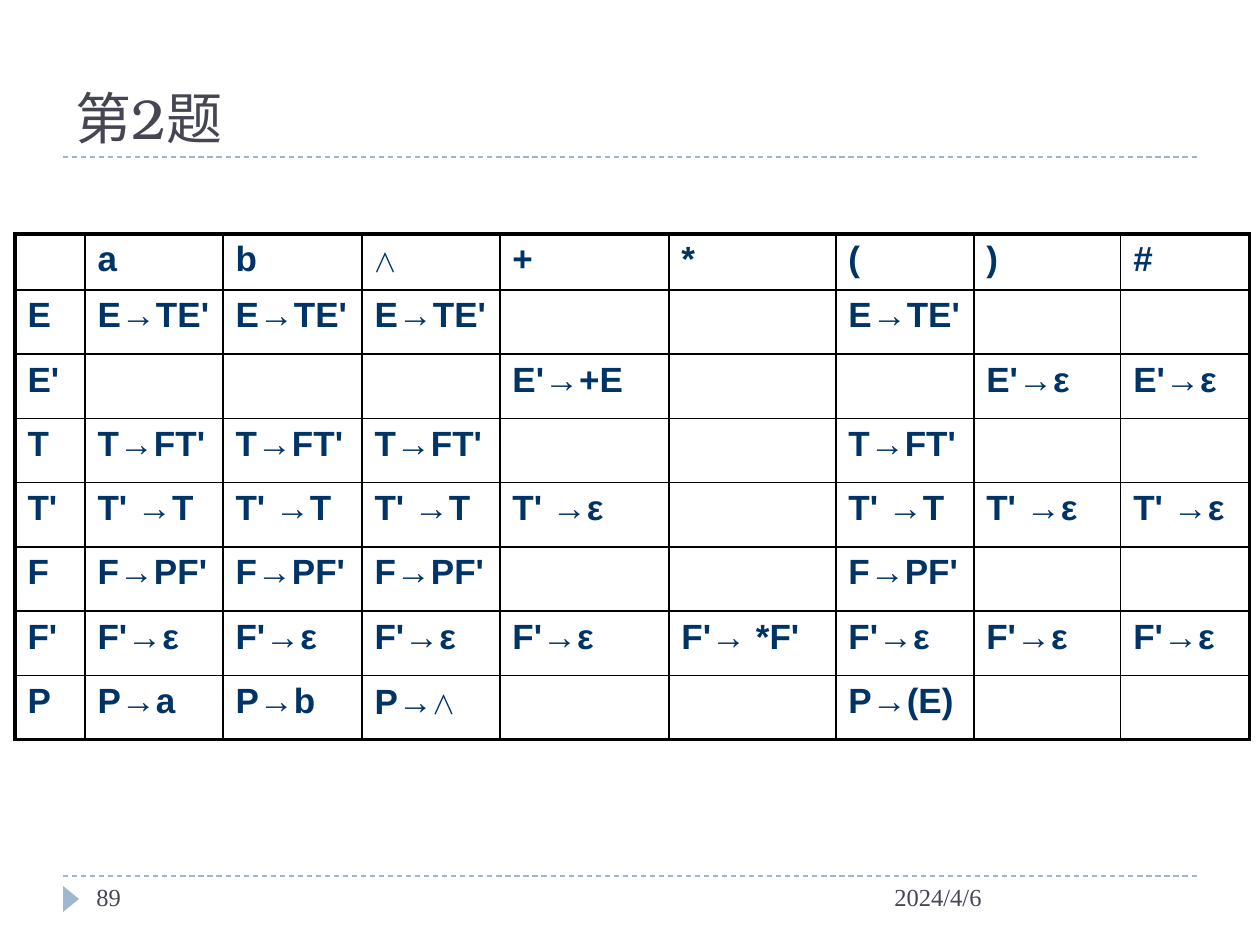
from dataclasses import dataclass

from lxml import etree
from pptx import Presentation
from pptx.dml.color import RGBColor
from pptx.enum.dml import MSO_LINE
from pptx.enum.shapes import MSO_CONNECTOR, MSO_SHAPE
from pptx.enum.text import MSO_ANCHOR, PP_ALIGN
from pptx.oxml.ns import qn
from pptx.util import Emu, Pt

STRAIGHT, TRIANGLE = MSO_CONNECTOR.STRAIGHT, MSO_SHAPE.ISOSCELES_TRIANGLE
DASH, LEFT = MSO_LINE.DASH, PP_ALIGN.LEFT
TOP, BOTTOM = MSO_ANCHOR.TOP, MSO_ANCHOR.BOTTOM

PX_PER_INCH = 126
COLORS = {"text": "464653", "accent": "9FB8CD", "cell": "003366", "border": "000000"}
WEDGE = "⋀"
INNER, OUTER = 1, 2.25

# Parsing table: symbols across, nonterminals down
SYMBOLS = ["a", "b", WEDGE, "+", "*", "(", ")", "#"]
RULES = {
    "E": dict.fromkeys(["a", "b", WEDGE, "("], "E→TE'"),
    "E'": {"+": "E'→+E", ")": "E'→ε", "#": "E'→ε"},
    "T": dict.fromkeys(["a", "b", WEDGE, "("], "T→FT'"),
    "T'": dict.fromkeys(["a", "b", WEDGE, "("], "T' →T")
    | dict.fromkeys(["+", ")", "#"], "T' →ε"),
    "F": dict.fromkeys(["a", "b", WEDGE, "("], "F→PF'"),
    "F'": dict.fromkeys(SYMBOLS, "F'→ε") | {"*": "F'→ *F'"},
    "P": {"a": "P→a", "b": "P→b", WEDGE: "P→" + WEDGE, "(": "P→(E)"},
}
COLUMN_WIDTHS = [70, 138, 139, 138, 169, 167, 138, 147, 129]
HEADER_HEIGHT, BODY_HEIGHT = 56, 450


@dataclass(frozen=True)
class Style:
    font: str
    size: int
    color: str
    bold: bool = False


@dataclass(frozen=True)
class Label:
    text: str
    left: int
    width: int


TITLE_STYLE = Style("TeX Gyre Bonum", 32, "text")
FOOTER_STYLE = Style("Times New Roman", 14, "text")
CELL_STYLE = Style("Arial", 20, "cell", True)
WEDGE_STYLE = Style("DejaVu Sans Mono", 20, "cell", True)
FOOTERS = [Label("2024/4/6", 882, 315), Label("89", 84, 273)]


def px(length: int) -> Emu:
    return Emu(round(length * 914400 / PX_PER_INCH))


def rgb(name: str) -> RGBColor:
    return RGBColor.from_string(COLORS[name])


def add_run(paragraph, text: str, style: Style) -> None:
    run = paragraph.add_run()
    run.text = text
    run.font.name = style.font
    run.font.size = Pt(style.size)
    run.font.bold = style.bold
    run.font.color.rgb = rgb(style.color)


def add_rule(slide, y: int) -> None:
    line = slide.shapes.add_connector(STRAIGHT, px(63), px(y), px(1197), px(y))
    line.line.color.rgb = rgb("accent")
    line.line.width = Pt(0.75)
    line.line.dash_style = DASH
    etree.SubElement(line._element.spPr, qn("a:effectLst"))


def add_label(slide, label: Label) -> None:
    box = slide.shapes.add_textbox(px(label.left), px(876), px(label.width), px(50))
    box.text_frame.word_wrap = True
    add_run(box.text_frame.paragraphs[0], label.text, FOOTER_STYLE)


def set_borders(cell, widths: dict[str, float]) -> None:
    properties = cell._tc.get_or_add_tcPr()
    for side, width in widths.items():
        border = etree.SubElement(properties, qn(f"a:ln{side}"), w=str(Pt(width)))
        fill = etree.SubElement(border, qn("a:solidFill"))
        etree.SubElement(fill, qn("a:srgbClr"), val=COLORS["border"])


def fill_cell(cell, text: str) -> None:
    cell.vertical_anchor = TOP
    paragraph = cell.text_frame.paragraphs[0]
    before, wedge, after = text.partition(WEDGE)
    for part, style in ((before, CELL_STYLE), (wedge, WEDGE_STYLE), (after, CELL_STYLE)):
        if part:
            add_run(paragraph, part, style)


def add_parsing_table(slide) -> None:
    rows = [["", *SYMBOLS]]
    rows += [[name, *(rules.get(symbol, "") for symbol in SYMBOLS)]
             for name, rules in RULES.items()]
    last_row, last_column = len(rows) - 1, len(SYMBOLS)
    frame = slide.shapes.add_table(
        len(rows), len(COLUMN_WIDTHS), px(15), px(234),
        px(sum(COLUMN_WIDTHS)), px(HEADER_HEIGHT + BODY_HEIGHT))
    table = frame.table
    table.first_row = table.horz_banding = False
    for column, width in zip(table.columns, COLUMN_WIDTHS):
        column.width = px(width)
    for index, row in enumerate(table.rows):
        row.height = px(HEADER_HEIGHT) if index == 0 else Emu(px(BODY_HEIGHT) // last_row)
    for i, texts in enumerate(rows):
        for j, text in enumerate(texts):
            cell = table.cell(i, j)
            set_borders(cell, {
                "L": OUTER if j == 0 else INNER,
                "R": OUTER if j == last_column else INNER,
                "T": OUTER if i == 0 else INNER,
                "B": OUTER if i == last_row else INNER,
            })
            cell.fill.background()
            fill_cell(cell, text)


def main() -> None:
    presentation = Presentation()
    presentation.slide_width, presentation.slide_height = px(1260), px(945)
    slide = presentation.slides.add_slide(presentation.slide_layouts[5])

    # Dashed rules and page marker
    for y in (876, 157):
        add_rule(slide, y)
    marker = slide.shapes.add_shape(TRIANGLE, px(58), px(891), px(26), px(16))
    marker.rotation = 90
    marker.shadow.inherit = False
    marker.fill.solid()
    marker.fill.fore_color.rgb = rgb("accent")
    marker.line.fill.background()

    # Title
    title = slide.shapes.title
    title.left, title.top, title.width, title.height = px(63), px(21), px(1134), px(136)
    title.text_frame.vertical_anchor = BOTTOM
    paragraph = title.text_frame.paragraphs[0]
    paragraph.alignment = LEFT
    add_run(paragraph, "第2题", TITLE_STYLE)

    # Date and page number
    for label in FOOTERS:
        add_label(slide, label)

    add_parsing_table(slide)
    presentation.save("out.pptx")


if __name__ == "__main__":
    main()
